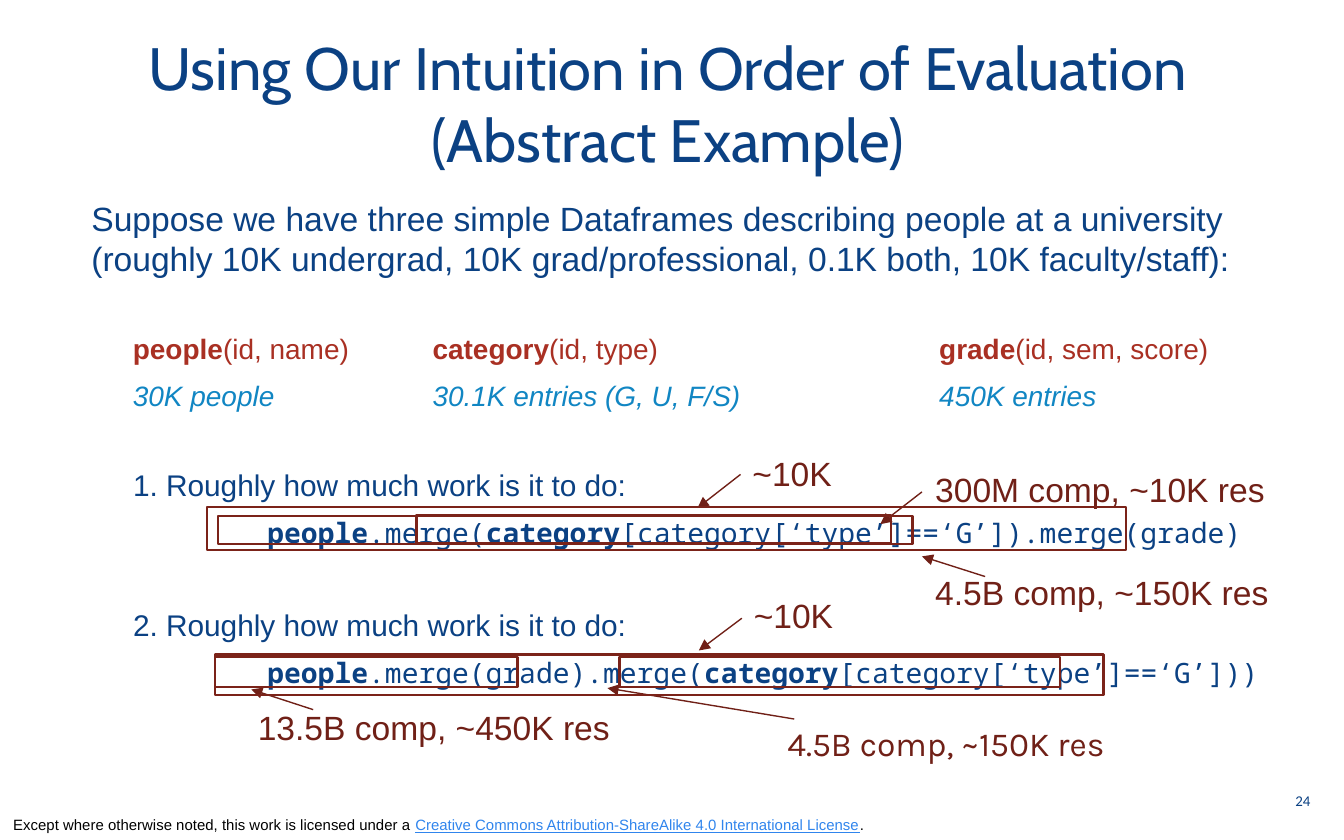
"""Build the slide on estimating the cost of evaluation orders."""
from lxml.etree import SubElement
from pptx import Presentation
from pptx.dml.color import RGBColor
from pptx.enum.shapes import MSO_CONNECTOR, MSO_SHAPE
from pptx.enum.text import MSO_ANCHOR, MSO_AUTO_SIZE, PP_ALIGN
from pptx.oxml.ns import qn
from pptx.util import Inches, Pt

THEME = {
    "navy": "0B4183", "red": "A93023", "blue": "1186C3", "maroon": "702017",
    "frame": "7B2319", "link": "3085ED", "black": "000000",
    "sans": "Arial", "heading": "Cabin", "mono": "Noto Sans Mono",
    "note": "Karla", "number": "Calibri",
    "title": 32, "lead": 18, "question": 16, "detail": 15, "small": 8,
}
TITLE = "Using Our Intuition in Order of Evaluation\v(Abstract Example)"
LEAD = ("Suppose we have three simple Dataframes describing people at a university "
        "(roughly 10K undergrad, 10K grad/professional, 0.1K both, 10K faculty/staff):")
DATAFRAMES = [
    ("people", "(id, name)", "30K people", 0.89, 2.1),
    ("category", "(id, type)", "30.1K entries (G, U, F/S)", 3.12, 3),
    ("grade", "(id, sem, score)", "450K entries", 6.89, 2.6),
]
QUESTIONS = [
    ("1. Roughly how much work is it to do:",
     ["people", ".merge(", "category", "[category[‘type’]==‘G’]).merge(grade)"], 101),
    ("2. Roughly how much work is it to do:",
     ["people", ".merge(grade).merge(", "category", "[category[‘type’]==‘G’]))"], 31),
]
LICENSE = [
    ("Except where otherwise noted, this work is licensed under a ", "black", False),
    ("Creative Commons Attribution-ShareAlike 4.0 International License", "link", True),
    (".", "black", False),
]
ESTIMATES = [
    ("~10K", (5.5, 3.32, 0.88), "sans"),
    ("300M comp, ~10K res", (6.86, 3.44, 2.93), "sans"),
    ("4.5B comp, ~150K res", (6.86, 4.21, 3.02), "sans"),
    ("13.5B comp, ~450K res", (1.82, 5.21, 3.17), "sans"),
    ("~10K", (5.51, 4.38, 0.88), "sans"),
    ("4.5B comp, ~150K res", (5.76, 5.33, 3.21), "note"),
]
ARROWS = [
    (5.51, 3.53, 5.19, 3.78), (6.86, 3.66, 6.55, 3.9), (7.33, 4.29, 6.86, 4.14),
    (2.33, 5.28, 1.87, 5.13), (5.52, 4.6, 5.2, 4.84), (5.91, 5.35, 4.52, 5.12),
]
FRAMES = [
    (3.1, 3.83, 3.53, 0.21), (1.62, 3.84, 5.17, 0.21), (1.54, 3.77, 6.84, 0.32),
    (1.6, 4.89, 2.25, 0.22), (4.61, 4.89, 3.28, 0.22), (1.6, 4.87, 6.61, 0.3),
]
INDENT, CODE_INDENT, ROW_GAP = 0.31, 1.31, 6.8
DATAFRAME_TOP, DATAFRAME_HEIGHT = 2.42, 0.7


def color(name):
    return RGBColor.from_string(THEME[name])


def write(paragraph, text, size="lead", font="sans", tint="navy",
          bold=False, italic=False, underline=False):
    for index, part in enumerate(text.split("\v")):
        if index:
            paragraph.add_line_break()
        span = paragraph.add_run()
        span.text = part
        span.font.size = Pt(THEME[size])
        span.font.name = THEME[font]
        span.font.color.rgb = color(tint)
        span.font.bold, span.font.italic, span.font.underline = bold, italic, underline


def place(shape, left, top, width, height):
    shape.left, shape.top = Inches(left), Inches(top)
    shape.width, shape.height = Inches(width), Inches(height)


def add_text_box(page, bounds, anchor=MSO_ANCHOR.TOP, align=PP_ALIGN.LEFT):
    box = page.shapes.add_textbox(*map(Inches, bounds))
    box.text_frame.word_wrap = True
    box.text_frame.vertical_anchor = anchor
    box.text_frame.paragraphs[0].alignment = align
    return box.text_frame


def format_paragraph(paragraph, indent=0, gap=0):
    properties = paragraph._p.get_or_add_pPr()
    properties.set("marL", str(Inches(indent)))
    properties.set("indent", "0")
    SubElement(properties, qn("a:buNone"))
    paragraph.level = 1 if indent else 0
    paragraph.space_before = Pt(gap)
    return paragraph


def fill_body(body):
    frame = body.text_frame
    frame.auto_size = MSO_AUTO_SIZE.NONE
    frame.vertical_anchor = MSO_ANCHOR.TOP
    frame.margin_top = Inches(0.2)
    write(format_paragraph(frame.paragraphs[0]), LEAD)
    for question, code, gap in QUESTIONS:
        write(format_paragraph(frame.add_paragraph(), INDENT, gap),
              question, size="question")
        line = format_paragraph(frame.add_paragraph(), CODE_INDENT, ROW_GAP)
        for index, part in enumerate(code):
            write(line, part, size="detail", font="mono", bold=index % 2 == 0)


def add_dataframe(page, name, fields, count, left, width):
    frame = add_text_box(page, (left, DATAFRAME_TOP, width, DATAFRAME_HEIGHT))
    schema = frame.paragraphs[0]
    write(schema, name, size="detail", tint="red", bold=True)
    write(schema, fields, size="detail", tint="red")
    total = frame.add_paragraph()
    total.space_before = Pt(ROW_GAP)
    write(total, count, size="detail", tint="blue", italic=True)


def add_arrow(page, points):
    arrow = page.shapes.add_connector(MSO_CONNECTOR.STRAIGHT, *map(Inches, points))
    arrow.line.color.rgb = color("maroon")
    arrow.line.width = Pt(0.75)
    SubElement(arrow.line._get_or_add_ln(), qn("a:tailEnd"), type="triangle")
    SubElement(arrow._element.spPr, qn("a:effectLst"))


def add_frame(page, bounds):
    frame = page.shapes.add_shape(MSO_SHAPE.RECTANGLE, *map(Inches, bounds))
    frame.shadow.inherit = False
    frame.fill.background()
    frame.line.color.rgb = color("frame")
    frame.line.width = Pt(1.25)


def main():
    deck = Presentation()
    deck.slide_width, deck.slide_height = Inches(10), Inches(6.25)
    page = deck.slides.add_slide(deck.slide_layouts[1])
    title, body = page.placeholders
    place(title, 0.51, 0.17, 8.92, 1.19)
    title.text_frame.auto_size = MSO_AUTO_SIZE.NONE
    title.text_frame.vertical_anchor = MSO_ANCHOR.MIDDLE
    heading = title.text_frame.paragraphs[0]
    heading.alignment = PP_ALIGN.CENTER
    write(heading, TITLE, size="title", font="heading")
    place(body, 0.58, 1.27, 9.07, 4.34)
    fill_body(body)
    for dataframe in DATAFRAMES:
        add_dataframe(page, *dataframe)
    footer = add_text_box(page, (0, 6.02, 7.5, 0.23), MSO_ANCHOR.BOTTOM)
    for text, tint, underline in LICENSE:
        write(footer.paragraphs[0], text, size="small", tint=tint, underline=underline)
    number = add_text_box(page, (9.4, 5.79, 0.45, 0.33), MSO_ANCHOR.MIDDLE, PP_ALIGN.RIGHT)
    write(number.paragraphs[0], "24", size="small", font="number")
    for text, corner, font in ESTIMATES:
        estimate = add_text_box(page, (*corner, 0.4))
        write(estimate.paragraphs[0], text, font=font, tint="maroon")
    for points in ARROWS:
        add_arrow(page, points)
    for bounds in FRAMES:
        add_frame(page, bounds)
    deck.save("out.pptx")


if __name__ == "__main__":
    main()
